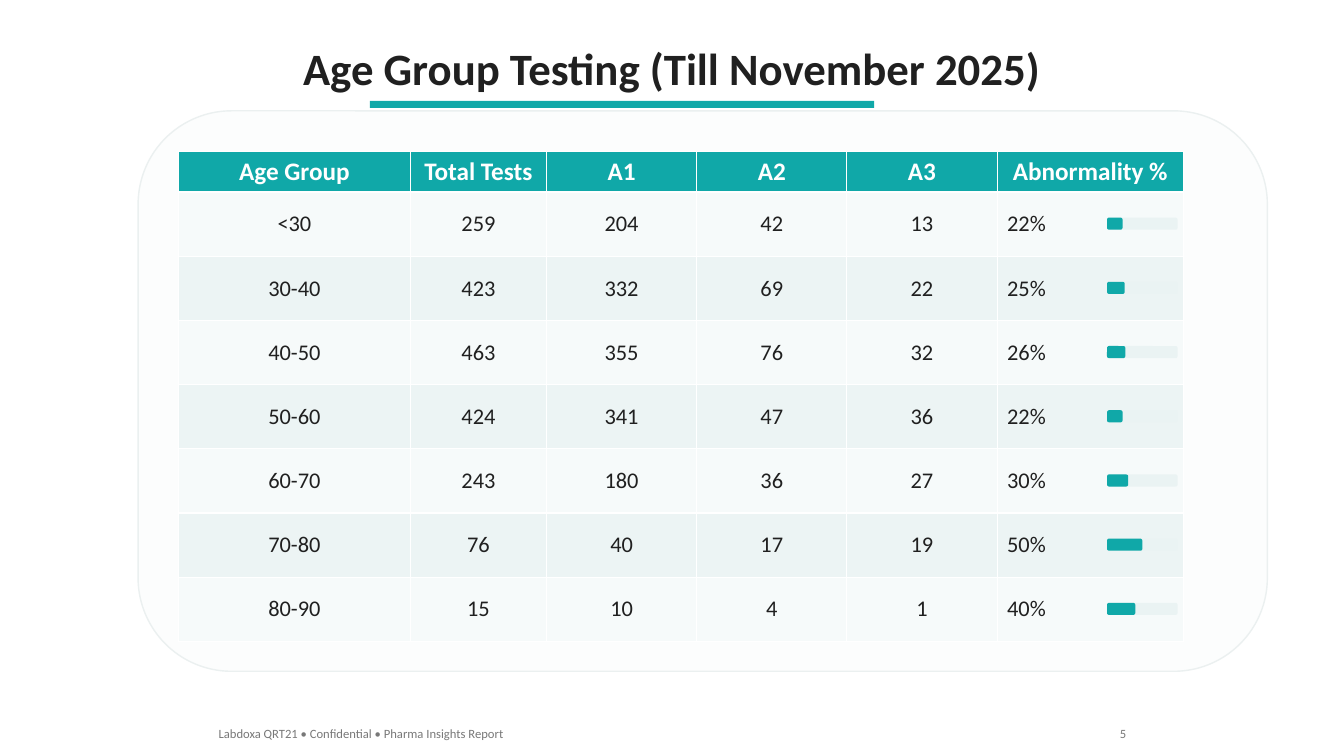
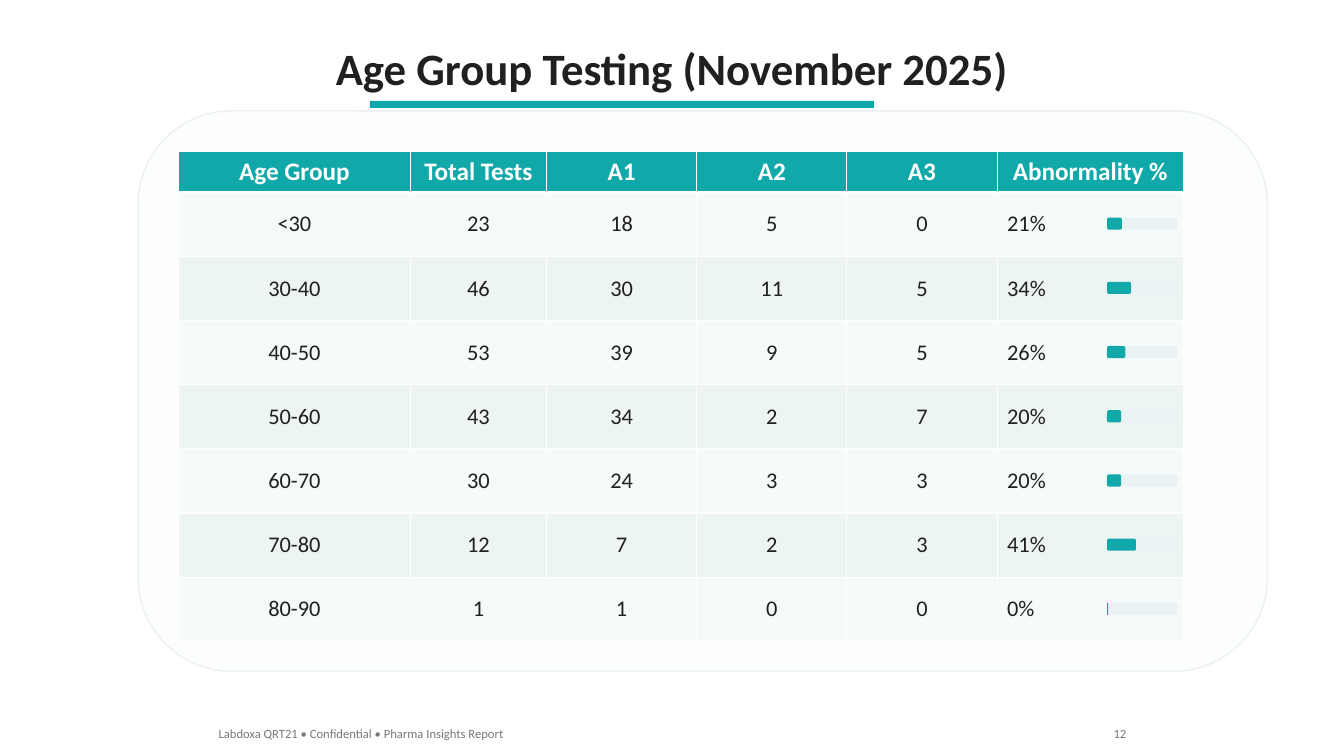
"""Build two slides of age group test results with abnormality bars."""
import dataclasses
import typing

import pptx
import pptx.dml.color
import pptx.enum.shapes
import pptx.enum.text
import pptx.util

Inches = pptx.util.Inches
Kind = pptx.enum.shapes.MSO_SHAPE
Align = pptx.enum.text.PP_ALIGN
Anchor = pptx.enum.text.MSO_ANCHOR

FONT = "Calibri"
TEAL, INK, GREY, WHITE = "10A8A8", "202020", "787878", "FFFFFF"
PANEL, EDGE, TRACK = "FCFDFD", "EBF0F0", "EAF3F3"
BANDS = ("F6FAFA", "ECF4F4")

FOOTER = "Labdoxa QRT21 • Confidential • Pharma Insights Report"
HEADS = ("Age Group", "Total Tests", "A1", "A2", "A3", "Abnormality %")
WIDTHS = (2.3, 1.35, 1.49, 1.49, 1.49, 1.85)
LEFT, TOP, HEAD, ROW = 1.77, 1.5, 0.4, 0.637
BAR_LEFT, BAR_WIDTH, BAR_HEIGHT = 10.98, 0.7, 0.12


class Box(typing.NamedTuple):
    left: float
    top: float
    width: float
    height: float

    def emu(self) -> list[int]:
        return [Inches(size) for size in self]


@dataclasses.dataclass(frozen=True)
class Group:
    ages: str
    total: int
    a1: int
    a2: int
    a3: int
    rate: int

    def texts(self) -> list[str]:
        counts = (self.total, self.a1, self.a2, self.a3)
        return [self.ages, *map(str, counts), f"{self.rate}%"]


@dataclasses.dataclass(frozen=True)
class Page:
    title: str
    number: int
    groups: tuple[Group, ...]


PAGES = (
    Page("Age Group Testing (Till November 2025)", 5, (
        Group("<30", 259, 204, 42, 13, 22),
        Group("30-40", 423, 332, 69, 22, 25),
        Group("40-50", 463, 355, 76, 32, 26),
        Group("50-60", 424, 341, 47, 36, 22),
        Group("60-70", 243, 180, 36, 27, 30),
        Group("70-80", 76, 40, 17, 19, 50),
        Group("80-90", 15, 10, 4, 1, 40),
    )),
    Page("Age Group Testing (November 2025)", 12, (
        Group("<30", 23, 18, 5, 0, 21),
        Group("30-40", 46, 30, 11, 5, 34),
        Group("40-50", 53, 39, 9, 5, 26),
        Group("50-60", 43, 34, 2, 7, 20),
        Group("60-70", 30, 24, 3, 3, 20),
        Group("70-80", 12, 7, 2, 3, 41),
        Group("80-90", 1, 1, 0, 0, 0),
    )),
)


def paint(target, color: str) -> None:
    target.fill.solid()
    target.fill.fore_color.rgb = pptx.dml.color.RGBColor.from_string(color)


def write(frame, text: str, size: int, color: str, align, bold: bool = False) -> None:
    frame.text = text
    line = frame.paragraphs[0]
    line.alignment = align
    font = line.font
    font.name, font.size, font.bold = FONT, pptx.util.Pt(size), bold
    font.color.rgb = pptx.dml.color.RGBColor.from_string(color)


def draw(slide, kind, box: Box, color: str, edge: str | None = None) -> None:
    shape = slide.shapes.add_shape(kind, *box.emu())
    shape.shadow.inherit = False
    paint(shape, color)
    if edge:
        paint(shape.line, edge)
        shape.line.width = pptx.util.Pt(1)
    else:
        shape.line.fill.background()


def add_title(slide, text: str) -> None:
    title = slide.shapes.title
    title.left, title.top, title.width, title.height = Box(1, 0.35, 11.33, 0.64).emu()
    frame = title.text_frame
    frame.auto_size = pptx.enum.text.MSO_AUTO_SIZE.NONE
    frame.vertical_anchor = Anchor.TOP
    write(frame, text, 32, INK, Align.CENTER, True)


def add_note(slide, box: Box, text: str, align) -> None:
    frame = slide.shapes.add_textbox(*box.emu()).text_frame
    frame.word_wrap = True
    write(frame, text, 9, GREY, align)


def add_grid(slide, groups: tuple[Group, ...]) -> None:
    box = Box(LEFT, TOP, sum(WIDTHS), HEAD + ROW * len(groups))
    grid = slide.shapes.add_table(len(groups) + 1, len(HEADS), *box.emu()).table
    for col, width in zip(grid.columns, WIDTHS):
        col.width = Inches(width)
    rows = [HEADS, *(group.texts() for group in groups)]
    for i, texts in enumerate(rows):
        head = i == 0
        grid.rows[i].height = Inches(HEAD if head else ROW)
        for j, text in enumerate(texts):
            cell = grid.cell(i, j)
            paint(cell, TEAL if head else BANDS[(i - 1) % 2])
            cell.vertical_anchor = Anchor.MIDDLE
            last = j == len(HEADS) - 1
            align = Align.LEFT if last and not head else Align.CENTER
            write(cell.text_frame, text, 18 if head else 16,
                  WHITE if head else INK, align, head)


def add_bars(slide, groups: tuple[Group, ...]) -> None:
    for i, group in enumerate(groups):
        top = TOP + HEAD + ROW * (i + 0.5) - BAR_HEIGHT / 2
        part = max(BAR_WIDTH * group.rate / 100, 0.01)
        for width, color in ((BAR_WIDTH, TRACK), (part, TEAL)):
            box = Box(BAR_LEFT, top, width, BAR_HEIGHT)
            draw(slide, Kind.ROUNDED_RECTANGLE, box, color)


def add_page(deck, page: Page) -> None:
    slide = deck.slides.add_slide(deck.slide_layouts[5])
    add_title(slide, page.title)
    draw(slide, Kind.RECTANGLE, Box(3.67, 1, 5, 0.07), TEAL)
    draw(slide, Kind.ROUNDED_RECTANGLE, Box(1.37, 1.1, 11.2, 5.56), PANEL, EDGE)
    add_grid(slide, page.groups)
    add_bars(slide, page.groups)
    add_note(slide, Box(2.07, 7.15, 4, 0.25), FOOTER, Align.LEFT)
    add_note(slide, Box(10.77, 7.15, 0.5, 0.25), str(page.number), Align.RIGHT)


def main() -> None:
    deck = pptx.Presentation()
    deck.slide_width, deck.slide_height = Inches(13.33), Inches(7.5)
    for page in PAGES:
        add_page(deck, page)
    deck.save("out.pptx")


if __name__ == "__main__":
    main()
